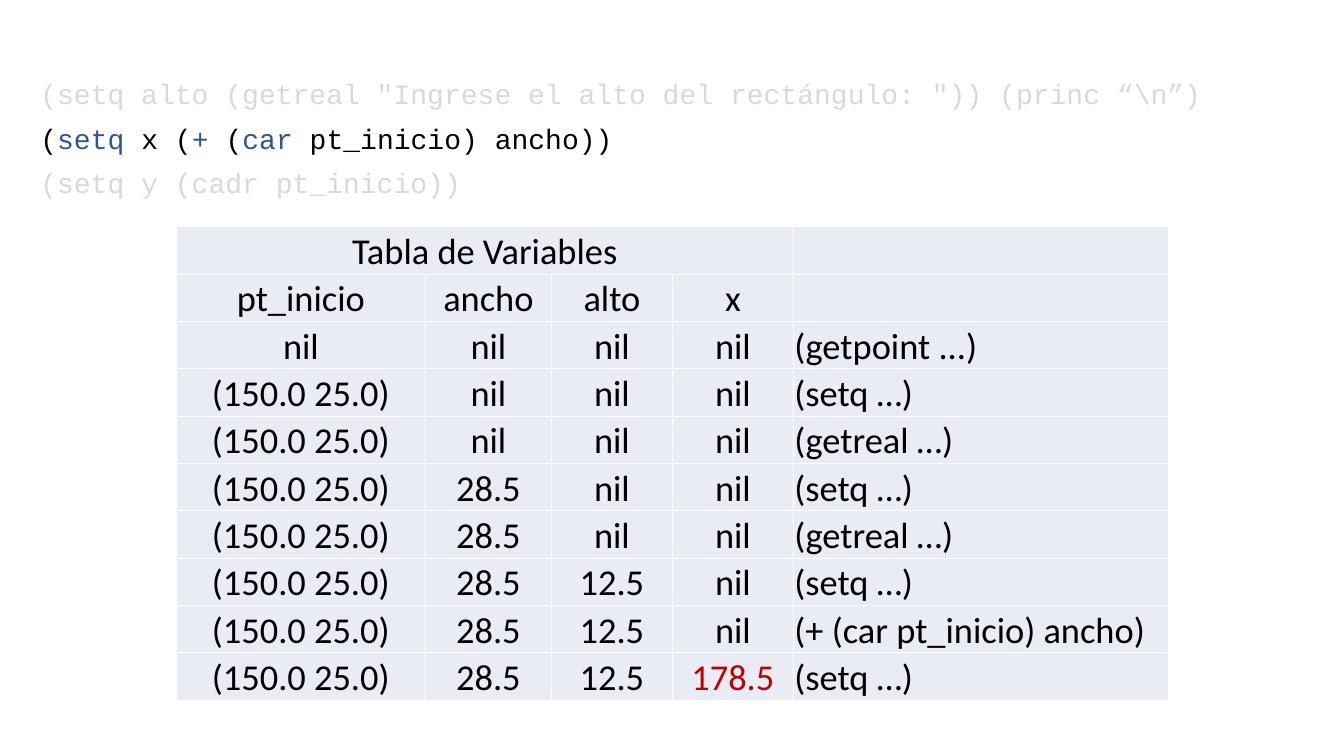
from dataclasses import dataclass

from lxml.etree import SubElement
from pptx import Presentation
from pptx.dml.color import RGBColor
from pptx.enum.text import MSO_ANCHOR, MSO_AUTO_SIZE, PP_ALIGN
from pptx.oxml.ns import qn
from pptx.util import Inches, Pt


@dataclass(frozen=True)
class Theme:
    """Colours, fonts and type sizes of the slide."""
    text: str = "000000"
    muted: str = "D9D9D9"
    keyword: str = "2F5597"
    result: str = "C00000"
    cell: str = "E9EBF5"
    border: str = "FFFFFF"
    code_font: str = "Courier New"
    table_font: str = "Calibri"
    code_size: int = 20
    table_size: int = 26
    border_width: int = 1


THEME = Theme()

CODE_LINES = [
    [('(setq alto (getreal "Ingrese el alto del rectángulo: ")) (princ “\\n”)', THEME.muted)],
    [("(", THEME.text), ("setq", THEME.keyword), (" x (", THEME.text), ("+", THEME.keyword),
     (" (", THEME.text), ("car ", THEME.keyword), ("pt_inicio) ancho))", THEME.text)],
    [("(setq y (cadr pt_inicio))", THEME.muted)],
]

VARIABLES = ["pt_inicio", "ancho", "alto", "x"]

# Each evaluated expression, with the variable values it changes
TRACE = [
    ("(getpoint ...)", {}),
    ("(setq …)", {"pt_inicio": "(150.0 25.0)"}),
    ("(getreal …)", {}),
    ("(setq …)", {"ancho": "28.5"}),
    ("(getreal …)", {}),
    ("(setq …)", {"alto": "12.5"}),
    ("(+ (car pt_inicio) ancho)", {}),
    ("(setq …)", {"x": "178.5"}),
]

COLUMN_WIDTHS = [2.47, 1.25, 1.2, 1.2, 3.72]
ROW_HEIGHT = 0.47


def apply_format(target, values):
    """Set each named attribute of the target."""
    for name, value in values.items():
        setattr(target, name, value)


def trace_rows():
    """Return the table rows, carrying variable values from step to step."""
    state = dict.fromkeys(VARIABLES, "nil")
    rows = [["Tabla de Variables", "", "", "", ""], [*VARIABLES, ""]]
    for expression, changes in TRACE:
        state.update(changes)
        rows.append([*state.values(), expression])
    return rows


class SlideBuilder:
    """Holds the theme and the current slide."""

    def __init__(self, slide, theme):
        """Keep the slide and the theme for later elements."""
        self.slide = slide
        self.theme = theme

    def add_run(self, paragraph, text, font_name, size, color):
        """Append a formatted run to a paragraph."""
        run = paragraph.add_run()
        run.text = text
        apply_format(run.font, {"name": font_name, "size": Pt(size)})
        run.font.color.rgb = RGBColor.from_string(color)

    def add_code(self, lines, left, top, width, height):
        """Fill the body placeholder with coloured code lines."""
        body = self.slide.placeholders[1]
        apply_format(body, {"left": Inches(left), "top": Inches(top),
                            "width": Inches(width), "height": Inches(height)})
        frame = body.text_frame
        apply_format(frame, {"word_wrap": True, "auto_size": MSO_AUTO_SIZE.NONE,
                             "vertical_anchor": MSO_ANCHOR.TOP})
        for index, line in enumerate(lines):
            paragraph = frame.add_paragraph() if index else frame.paragraphs[0]
            apply_format(paragraph, {"line_spacing": 0.9, "space_before": Pt(10),
                                     "alignment": PP_ALIGN.LEFT})
            properties = paragraph._p.get_or_add_pPr()
            properties.set("marL", "0")
            properties.set("indent", "0")
            SubElement(properties, qn("a:buNone"))
            for text, color in line:
                self.add_run(paragraph, text, self.theme.code_font, self.theme.code_size, color)

    def add_border(self, cell):
        """Draw a thin border on all four sides of a cell."""
        properties = cell._tc.get_or_add_tcPr()
        for side in ("lnL", "lnR", "lnT", "lnB"):
            line = SubElement(properties, qn(f"a:{side}"), w=str(Pt(self.theme.border_width)))
            fill = SubElement(line, qn("a:solidFill"))
            SubElement(fill, qn("a:srgbClr"), val=self.theme.border)

    def format_cell(self, cell, text, alignment, color):
        """Style a cell and write its text."""
        apply_format(cell, {"vertical_anchor": MSO_ANCHOR.BOTTOM,
                            "margin_left": Inches(0.01), "margin_right": Inches(0.01),
                            "margin_top": Inches(0.01), "margin_bottom": 0})
        self.add_border(cell)
        cell.fill.solid()
        cell.fill.fore_color.rgb = RGBColor.from_string(self.theme.cell)
        if text:
            paragraph = cell.text_frame.paragraphs[0]
            paragraph.alignment = alignment
            self.add_run(paragraph, text, self.theme.table_font, self.theme.table_size, color)

    def add_trace_table(self, rows, left, top):
        """Add the variable table; its newest value is highlighted."""
        frame = self.slide.shapes.add_table(
            len(rows), len(COLUMN_WIDTHS), Inches(left), Inches(top),
            Inches(sum(COLUMN_WIDTHS)), Inches(ROW_HEIGHT * len(rows)))
        table = frame.table
        apply_format(table, {"first_row": False, "horz_banding": False})
        for column, width in zip(table.columns, COLUMN_WIDTHS):
            column.width = Inches(width)
        newest = (len(rows) - 1, VARIABLES.index("x"))
        for row_index, values in enumerate(rows):
            table.rows[row_index].height = Inches(ROW_HEIGHT)
            for column_index, text in enumerate(values):
                is_variable = column_index < len(VARIABLES)
                is_newest = (row_index, column_index) == newest
                self.format_cell(
                    table.cell(row_index, column_index), text,
                    PP_ALIGN.CENTER if is_variable else PP_ALIGN.LEFT,
                    self.theme.result if is_newest else self.theme.text)
        table.cell(0, 0).merge(table.cell(0, len(VARIABLES) - 1))


def main():
    """Build and save the presentation."""
    presentation = Presentation()
    apply_format(presentation, {"slide_width": Inches(13.33), "slide_height": Inches(7.5)})
    slide = presentation.slides.add_slide(presentation.slide_layouts.get_by_name("Title and Content"))
    title = slide.shapes.title
    title.element.getparent().remove(title.element)

    builder = SlideBuilder(slide, THEME)
    builder.add_code(CODE_LINES, 0.3, 0.75, 12.4, 1.65)
    builder.add_trace_table(trace_rows(), 1.75, 2.25)
    presentation.save("out.pptx")


main()
